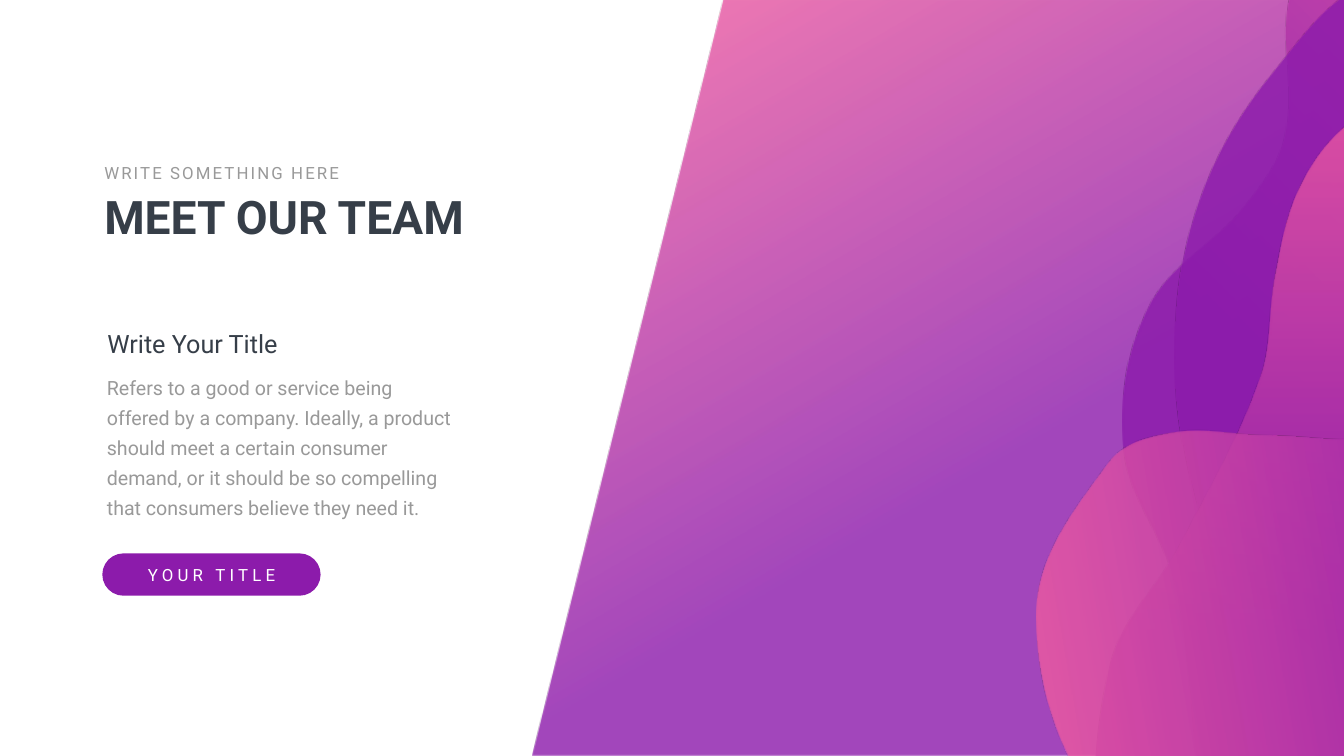
from dataclasses import dataclass
from math import dist

from lxml import etree
from pptx import Presentation
from pptx.dml.color import RGBColor
from pptx.enum.shapes import MSO_SHAPE
from pptx.enum.text import MSO_AUTO_SIZE, PP_ALIGN
from pptx.oxml.ns import qn
from pptx.util import Inches, Pt

PINK = RGBColor(0xF7, 0x61, 0xA0)
PURPLE = RGBColor(0x8C, 0x1B, 0xAB)
SLATE = RGBColor(0x36, 0x3E, 0x48)
GREY = RGBColor(0x99, 0x99, 0x99)
WHITE = RGBColor(0xFF, 0xFF, 0xFF)
FONT = "Roboto"
WIDTH, HEIGHT = 26.66, 15
OPACITY = 80           # percent, for the panel and the blobs
PURPLE_FROM = 0.6      # share of the gradient after which it is all purple
ROUNDNESS = 0.35       # handle length as a share of the distance between anchors


@dataclass
class Blob:
    """A smooth closed shape through its anchors, clockwise on the page, in inches.

    The angle is the clockwise direction in which pink turns to purple.
    """
    anchors: list
    angle: int


BACK_BLOB = Blob(angle=135, anchors=[
    (22.3, 8.9), (22.8, 6.1), (24.7, 4.1), (25.5, 2.7), (25.7, -0.4), (27.5, -2.2),
    (30.1, -1.1), (32.1, -2), (34.7, -1.7), (35.4, 0.8), (34.2, 6), (36.1, 8.3),
    (34.2, 12), (31.7, 13.6), (30, 16.2), (27.2, 18), (24.5, 17.3), (23.3, 11.5)])
TALL_BLOB = Blob(angle=190, anchors=[
    (23.8, 10.1), (23.3, 7.1), (23.8, 4), (25.3, 1.4), (27.4, -0.4), (32.7, -0.4),
    (36.3, 3.1), (35.5, 6.2), (35, 9.1), (37.8, 11.9), (37.8, 14.3), (35, 16.4),
    (29.8, 15.8), (24.5, 11.3)])
EDGE_BLOB = Blob(angle=90, anchors=[
    (22, 13.3), (23.45, 10.75), (25, 7.5), (25.3, 5.45), (25.75, 3.8), (26.65, 2.55),
    (28.7, 1.2), (32.9, 2.1), (33.9, 4.9), (33, 7.6), (30.4, 11.1), (30.6, 15.2),
    (29, 19), (27.1, 20.1), (25, 19.8), (22.1, 17.2)])
FRONT_BLOB = Blob(angle=350, anchors=[
    (20.57, 12.25), (22, 9.2), (23.25, 8.6), (25.2, 8.65), (27.6, 8.6), (29.9, 7),
    (31.9, 5.4), (35.4, 5.3), (37.5, 7.3), (37.6, 10.1), (35.3, 12.3), (32.4, 14.6),
    (29.9, 17.5), (25.5, 18.55), (22.05, 16.35)])


def fill_gradient(shape, angle):
    shape.fill.gradient()
    shape.fill.gradient_angle = 360 - angle
    for stop, color, position in zip(shape.fill.gradient_stops, (PINK, PURPLE), (0, PURPLE_FROM)):
        stop.color.rgb = color
        stop.position = position
    for color in shape._element.spPr.iter(qn("a:srgbClr")):
        etree.SubElement(color, qn("a:alpha"), val=str(OPACITY * 1000))


def add_polygon(page, points, angle):
    start, *others = [(Inches(x), Inches(y)) for x, y in points]
    builder = page.shapes.build_freeform(*start, scale=1.0)
    shape = builder.add_line_segments(others, close=True).convert_to_shape()
    shape.shadow.inherit = False
    shape.line.fill.background()
    fill_gradient(shape, angle)
    return shape


def handle_at(before, anchor, after, reach):
    """Step from the anchor by reach, parallel to the line joining its neighbours."""
    step = reach / dist(before, after)
    return tuple(a + step * (n - p) for p, a, n in zip(before, anchor, after))


def smooth_points(anchors):
    """Return the first anchor, then two handles and an anchor for each curve."""
    points = [anchors[0]]
    count = len(anchors)
    for i in range(count):
        before, start, end, after = (anchors[(i + k) % count] for k in (-1, 0, 1, 2))
        reach = ROUNDNESS * dist(start, end)
        points += [handle_at(before, start, end, reach), handle_at(start, end, after, -reach), end]
    return points


def add_blob(page, blob):
    shape = add_polygon(page, smooth_points(blob.anchors), blob.angle)
    lines = list(shape._element.iter(qn("a:lnTo")))
    for first in range(0, len(lines), 3):
        curve = etree.Element(qn("a:cubicBezTo"))
        lines[first].addprevious(curve)
        for line in lines[first:first + 3]:
            curve.append(line[0])
            line.getparent().remove(line)


def add_panel(page, top_left, foot_left, right, height):
    """Fill the right of the page, with a slanted left edge."""
    corners = [(right, 0), (top_left, 0), (foot_left, height), (right, height)]
    add_polygon(page, corners, angle=60)


def add_text(page, box, text, size, color, bold=False, spacing=0, wrap=True,
             align=PP_ALIGN.LEFT, margins=(0.1, 0.05), leading=None):
    frame = page.shapes.add_textbox(*map(Inches, box)).text_frame
    frame.word_wrap = wrap
    frame.auto_size = MSO_AUTO_SIZE.SHAPE_TO_FIT_TEXT
    frame.margin_left = frame.margin_right = Inches(margins[0])
    frame.margin_top = frame.margin_bottom = Inches(margins[1])
    para = frame.paragraphs[0]
    para.alignment = align
    if leading:
        para.line_spacing = Pt(leading)
    span = para.add_run()
    span.text = text
    span.font.name, span.font.size, span.font.bold = FONT, Pt(size), bold
    span.font.color.rgb = color
    if spacing:
        span.font._element.set("spc", str(spacing * 100))


def add_heading(page, left, top):
    add_text(page, (left, top + 0.51, 7.99, 1.21), "MEET OUR TEAM", 66, SLATE, bold=True)
    add_text(page, (left, top, 5, 0.5), "WRITE SOMETHING HERE", 24, GREY, spacing=3, wrap=False)


def add_description(page, left, top):
    add_text(page, (left - 0.15, top + 0.75, 7.35, 3.2),
             "Refers to a good or service being offered by a company. Ideally, a product "
             "should meet a certain consumer demand, or it should be so compelling that "
             "consumers believe they need it.",
             28, GREY, margins=(0.24, 0.12), leading=43)
    add_text(page, (left, top, 5.67, 0.71), "Write Your Title", 36, SLATE)


def add_button(page, left, top, width, height):
    pill = page.shapes.add_shape(MSO_SHAPE.ROUNDED_RECTANGLE,
                                 *map(Inches, (left, top, width, height)))
    pill.adjustments[0] = 0.5
    pill.shadow.inherit = False
    pill.fill.solid()
    pill.fill.fore_color.rgb = PURPLE
    pill.line.fill.background()
    label_width, label_height = 2.88, 0.5
    label = (left + (width - label_width) / 2, top + (height - label_height) / 2,
             label_width, label_height)
    add_text(page, label, "YOUR TITLE", 24, WHITE, spacing=6, wrap=False, align=PP_ALIGN.CENTER)


def main():
    deck = Presentation()
    deck.slide_width, deck.slide_height = Inches(WIDTH), Inches(HEIGHT)
    page = deck.slides.add_slide(deck.slide_layouts[6])
    page.background.fill.solid()
    page.background.fill.fore_color.rgb = WHITE
    add_panel(page, top_left=14.36, foot_left=10.57, right=WIDTH, height=HEIGHT)
    add_heading(page, left=1.97, top=3.18)
    add_description(page, left=2.03, top=6.46)
    add_button(page, left=2.03, top=10.98, width=4.33, height=0.84)
    for blob in (BACK_BLOB, TALL_BLOB, EDGE_BLOB, FRONT_BLOB):
        add_blob(page, blob)
    deck.save("out.pptx")


if __name__ == "__main__":
    main()
